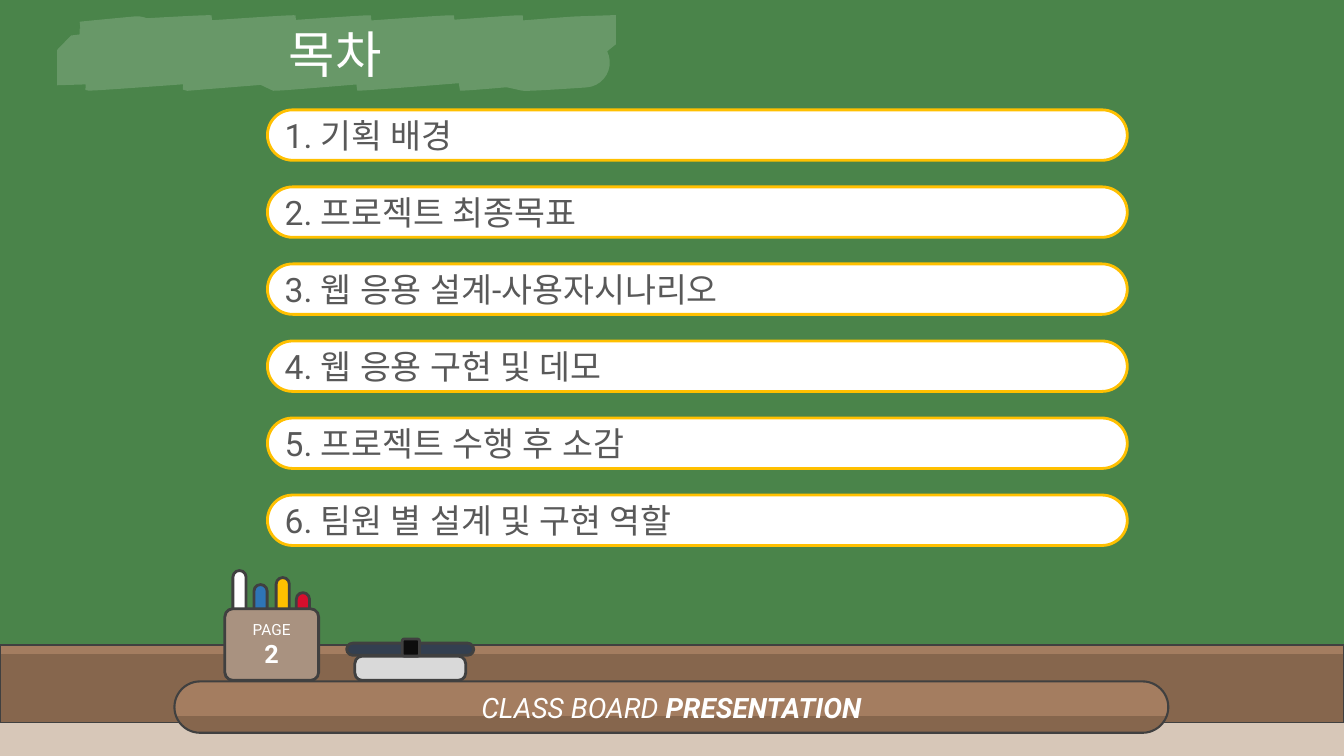
from dataclasses import dataclass
from typing import Optional

from lxml.etree import SubElement
from pptx import Presentation
from pptx.dml.color import RGBColor
from pptx.enum.shapes import MSO_SHAPE
from pptx.enum.text import MSO_ANCHOR, PP_ALIGN
from pptx.oxml.ns import qn
from pptx.util import Inches, Pt

SLIDE_W, SLIDE_H = Inches(13.33), Inches(7.5)


@dataclass(frozen=True)
class Theme:
    board: str = "4A844A"
    floor: str = "D7C7B8"
    wood_light: str = "A47D60"
    wood_dark: str = "86664D"
    outline: str = "404040"
    white: str = "FFFFFF"
    yellow: str = "FFC000"
    red: str = "D80F2D"
    blue: str = "2E75B6"
    cup: str = "A99280"
    felt: str = "D9D9D9"
    handle: str = "333F50"
    knob: str = "0D0D0D"
    item_text: str = "595959"
    font: str = "Roboto"
    title_size: float = 36
    item_size: float = 24
    footer_size: float = 20
    page_size: float = 18
    label_size: float = 11


THEME = Theme()


@dataclass(frozen=True)
class Block:
    """A filled shape; x, y, w, h are percentages of the slide's width and height."""
    x: float
    y: float
    w: float
    h: float
    fill: str
    line: Optional[str] = THEME.outline
    weight: float = 2
    radius: float = 0.5
    split: Optional[int] = None  # where light wood turns dark, in percent


FLOOR = Block(0, 95.6, 100, 4.4, THEME.floor, line=None, radius=0)
WALL_RAIL = Block(0, 85.33, 100, 10.27, THEME.wood_light, weight=1, radius=0, split=12)
TRAY = Block(12.98, 90.13, 73.95, 6.8, THEME.wood_light, weight=1.5, split=68)
CUP = Block(16.73, 80.53, 6.98, 9.47, THEME.cup, radius=0.113)
PENS = [Block(x, y, 0.98, 9.47, color) for x, y, color in (
    (17.33, 75.47, THEME.white),
    (22.05, 78.4, THEME.red),
    (20.55, 76.4, THEME.yellow),
    (18.9, 77.33, THEME.blue),
)]
ERASER = [
    Block(26.4, 86.8, 8.25, 3.2, THEME.felt, radius=0.307),
    Block(25.8, 85.07, 9.45, 1.6, THEME.handle),
    Block(29.93, 84.53, 1.28, 2.27, THEME.knob, radius=0.113),
]

AGENDA = [
    "기획 배경",
    "프로젝트 최종목표",
    "웹 응용 설계-사용자시나리오",
    "웹 응용 구현 및 데모",
    "프로젝트 수행 후 소감",
    "팀원 별 설계 및 구현 역할",
]
AGENDA_TOP, AGENDA_STEP = 14.53, 10.19

# Chalk stroke in hundredths of an inch: two control points and an end point per curve.
CHALK_START = (136, 41)
CHALK_CURVES = [
    ((104, 44), (73, 47), (85, 46)),
    ((97, 46), (208, 39), (208, 40)),
    ((208, 41), (70, 53), (84, 53)),
    ((98, 53), (291, 39), (291, 40)),
    ((290, 41), (69, 59), (82, 59)),
    ((94, 59), (366, 39), (367, 40)),
    ((368, 41), (77, 65), (90, 65)),
    ((103, 65), (430, 40), (447, 40)),
    ((463, 40), (176, 65), (188, 65)),
    ((199, 64), (501, 40), (515, 40)),
    ((530, 40), (266, 65), (276, 65)),
    ((286, 65), (561, 41), (575, 41)),
    ((588, 41), (357, 63), (356, 65)),
    ((356, 66), (557, 49), (574, 49)),
    ((591, 49), (456, 63), (457, 65)),
    ((459, 66), (573, 55), (583, 55)),
    ((594, 55), (520, 64), (520, 65)),
    ((519, 66), (550, 64), (580, 62)),
]


def rgb(color: str) -> RGBColor:
    return RGBColor.from_string(color)


def add_block(shapes, block: Block):
    kind = MSO_SHAPE.ROUNDED_RECTANGLE if block.radius else MSO_SHAPE.RECTANGLE
    shape = shapes.add_shape(
        kind,
        round(SLIDE_W * block.x / 100), round(SLIDE_H * block.y / 100),
        round(SLIDE_W * block.w / 100), round(SLIDE_H * block.h / 100))
    shape.shadow.inherit = False
    if block.radius:
        shape.adjustments[0] = block.radius
    if block.split is None:
        shape.fill.solid()
        shape.fill.fore_color.rgb = rgb(block.fill)
    else:
        shape.fill.gradient()
        shape.fill.gradient_angle = 270
        for stop, color in zip(shape.fill.gradient_stops, (block.fill, THEME.wood_dark)):
            stop.position = block.split / 100
            stop.color.rgb = rgb(color)
    if block.line:
        shape.line.color.rgb = rgb(block.line)
        shape.line.width = Pt(block.weight)
    else:
        shape.line.fill.background()
    return shape


def write(shape, text: str, *, size: float, color: str = THEME.white, bold: bool = False,
          italic: bool = False, align: PP_ALIGN = PP_ALIGN.CENTER,
          new_paragraph: bool = False) -> None:
    """Append a run to the shape's last paragraph, or to a new one."""
    frame = shape.text_frame
    frame.word_wrap = True
    frame.vertical_anchor = MSO_ANCHOR.MIDDLE
    paragraph = frame.add_paragraph() if new_paragraph else frame.paragraphs[-1]
    paragraph.alignment = align
    run = paragraph.add_run()
    run.text = text
    font = run.font
    font.name, font.size, font.bold, font.italic = THEME.font, Pt(size), bold, italic
    font.color.rgb = rgb(color)
    SubElement(font._element, qn("a:ea"), typeface=THEME.font)


def add_chalk_stroke(shapes):
    """Draw the translucent scribble as one curved, open outline."""
    ends = [curve[-1] for curve in CHALK_CURVES]
    builder = shapes.build_freeform(*CHALK_START, scale=Inches(0.01))
    builder.add_line_segments(ends, close=False)
    stroke = builder.convert_to_shape()
    stroke.shadow.inherit = False
    stroke.fill.background()
    left, top = (min(axis) for axis in zip(CHALK_START, *ends))
    segments = list(stroke._element.iter(qn("a:lnTo")))
    for segment, curve in zip(segments, CHALK_CURVES):
        bezier = SubElement(segment.getparent(), qn("a:cubicBezTo"))
        for x, y in curve:
            SubElement(bezier, qn("a:pt"), x=str(x - left), y=str(y - top))
        segment.getparent().remove(segment)
    stroke.line.color.rgb = rgb(THEME.white)
    stroke.line.width = Pt(35.75)
    outline = stroke.line._get_or_add_ln()
    outline.set("cap", "rnd")
    SubElement(outline.find(".//" + qn("a:srgbClr")), qn("a:alpha"), val="17000")
    SubElement(outline, qn("a:miter"), lim="800000")
    return stroke


def main() -> None:
    deck = Presentation()
    deck.slide_width, deck.slide_height = SLIDE_W, SLIDE_H
    slide = deck.slides.add_slide(deck.slide_layouts[6])
    slide.background.fill.solid()
    slide.background.fill.fore_color.rgb = rgb(THEME.board)
    shapes = slide.shapes

    add_block(shapes, FLOOR)
    add_block(shapes, WALL_RAIL)
    tray = add_block(shapes, TRAY)
    write(tray, "CLASS BOARD ", size=THEME.footer_size, italic=True)
    write(tray, "PRESENTATION", size=THEME.footer_size, italic=True, bold=True)

    for pen in PENS:
        add_block(shapes, pen)
    cup = add_block(shapes, CUP)
    write(cup, "PAGE", size=THEME.label_size)
    write(cup, "2", size=THEME.page_size, bold=True, new_paragraph=True)

    eraser = shapes.add_group_shape()
    for part in ERASER:
        add_block(eraser.shapes, part)

    write(add_chalk_stroke(shapes), "목차", size=THEME.title_size)

    for row, topic in enumerate(AGENDA):
        item = add_block(shapes, Block(19.9, AGENDA_TOP + row * AGENDA_STEP, 63.98, 6.67,
                                       THEME.white, line=THEME.yellow))
        write(item, f"{row + 1}. {topic}", size=THEME.item_size,
              color=THEME.item_text, align=PP_ALIGN.LEFT)

    deck.save("out.pptx")


if __name__ == "__main__":
    main()
